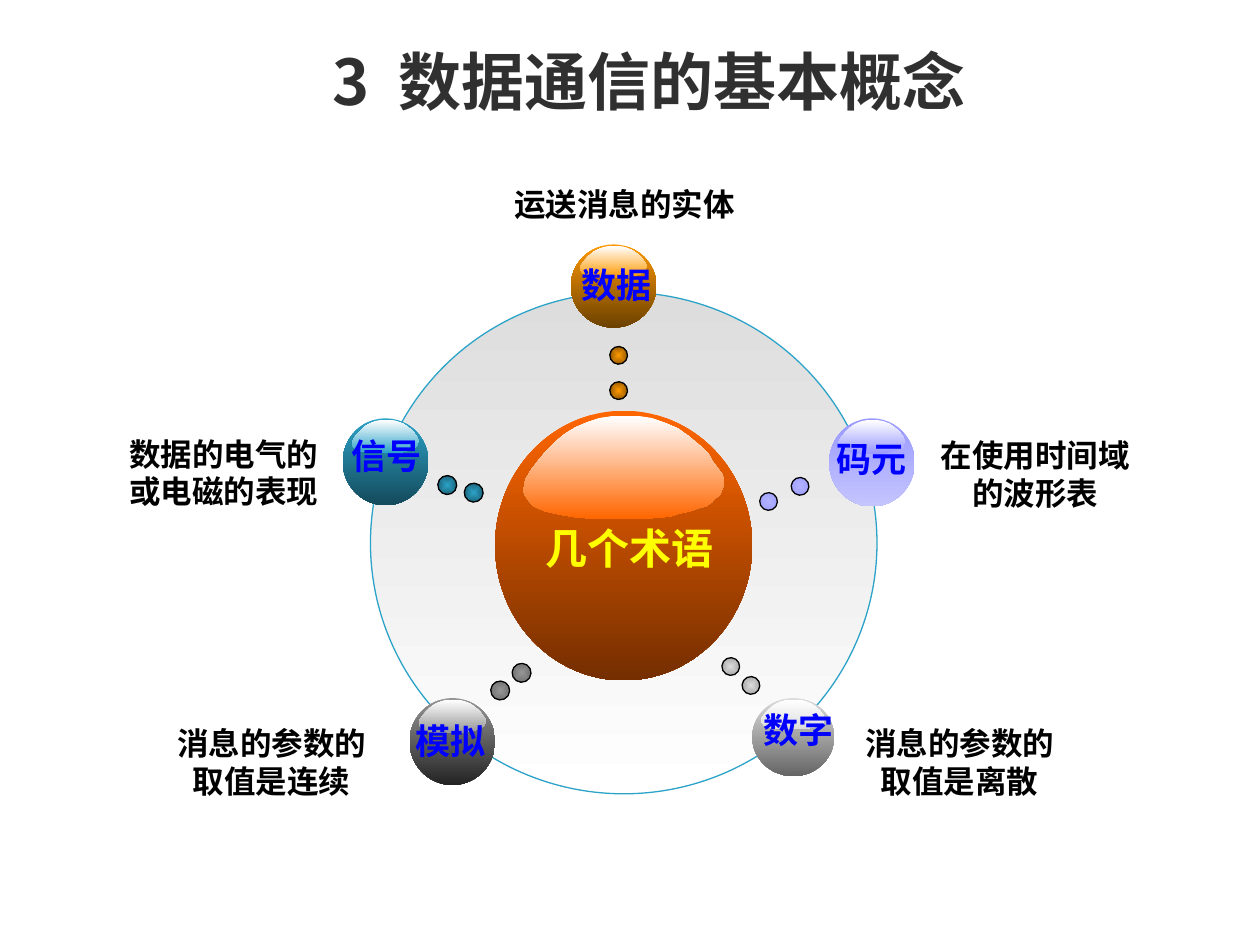
from lxml import etree
from pptx import Presentation
from pptx.dml.color import RGBColor
from pptx.enum import shapes, text
from pptx.oxml import ns
from pptx.util import Inches, Pt

WHITE = RGBColor(0xFF, 0xFF, 0xFF)
BLACK = RGBColor(0x00, 0x00, 0x00)
BLUE = RGBColor(0x00, 0x00, 0xFF)
YELLOW = RGBColor(0xFF, 0xFF, 0x00)
CHARCOAL = RGBColor(0x30, 0x30, 0x30)
ORANGE = RGBColor(0xFF, 0x66, 0x00)
RUST = RGBColor(0x74, 0x2E, 0x00)
AMBER = RGBColor(0xFF, 0x99, 0x00)
BROWN = RGBColor(0x6C, 0x41, 0x00)
TEAL = RGBColor(0x2C, 0xA3, 0xC8)
DEEP_TEAL = RGBColor(0x14, 0x4A, 0x5B)
VIOLET = RGBColor(0x99, 0x99, 0xFF)
PALE_VIOLET = RGBColor(0xC4, 0xC4, 0xFF)
MID_VIOLET = RGBColor(0xB2, 0xB2, 0xFF)
GREY = RGBColor(0x96, 0x96, 0x96)
DARK_GREY = RGBColor(0x24, 0x24, 0x24)
DIM_GREY = RGBColor(0x64, 0x64, 0x64)
SILVER = RGBColor(0xDD, 0xDD, 0xDD)
DIM_SILVER = RGBColor(0x93, 0x93, 0x93)
IRON = RGBColor(0x65, 0x65, 0x65)

# Content: lengths in inches
TITLE = "3  数据通信的基本概念"
CENTRE = "几个术语"
RING = (2.94, 2.32, 4.02, 3.98)
HUB = (3.93, 3.26, 2.04, 2.14)
LABEL_SIZE = (0.79, 0.44)  # holds two 20 pt characters on one line
CAPTION_SIZE = (1.89, 0.7)
TERMS = [
    dict(label="模拟", ball=(3.25, 5.54, 0.68, 0.69), label_at=(3.18, 5.66),
         colours=(GREY, DARK_GREY), dot_colours=(GREY, DIM_GREY),
         dots=[(3.97, 5.48), (4.14, 5.34)], dot_size=0.15,
         caption="消息的参数的取值是连续", caption_at=(1.21, 5.7)),
    dict(label="码元", ball=(6.58, 3.32, 0.68, 0.7), label_at=(6.52, 3.42),
         colours=(VIOLET, PALE_VIOLET), dot_colours=(MID_VIOLET, VIOLET),
         dots=[(6.35, 3.86), (6.1, 3.98)], dot_size=0.14,
         caption="在使用时间域的波形表", caption_at=(7.27, 3.41)),
    dict(label="数字", ball=(5.97, 5.54, 0.65, 0.62), label_at=(5.94, 5.57),
         colours=(SILVER, IRON), dot_colours=(SILVER, DIM_SILVER),
         dots=[(5.96, 5.44), (5.8, 5.29)], dot_size=0.14,
         caption="消息的参数的取值是离散", caption_at=(6.67, 5.7)),
    dict(label="数据", ball=(4.53, 1.94, 0.68, 0.66), label_at=(4.5, 2.04),
         colours=(AMBER, BROWN), dot_colours=(AMBER, BROWN),
         dots=[(4.91, 2.82), (4.91, 3.1)], dot_size=0.14,
         caption="运送消息的实体", caption_at=(2.83, 1.42), caption_size=(4.25, 0.4)),
    dict(label="信号", ball=(2.72, 3.32, 0.68, 0.69), label_at=(2.67, 3.4),
         colours=(TEAL, DEEP_TEAL), dot_colours=(TEAL, DEEP_TEAL),
         dots=[(3.55, 3.85), (3.76, 3.91)], dot_size=0.15,
         caption="数据的电气的或电磁的表现", caption_at=(0.83, 3.4)),
]

# Gloss: its box as shares of the ball, its outline as percentages of that box
GLOSS_BOX = (0.11, 0.02, 0.78, 0.38)
GLOSS_OUTLINE = [
    (99, 56), (100, 62), (100, 67), (99, 72), (98, 77), (96, 80), (94, 84), (91, 88),
    (87, 90), (83, 93), (78, 95), (73, 98), (68, 99), (60, 100), (36, 100), (27, 99),
    (18, 96), (11, 93), (5, 88), (2, 81), (1, 78), (0, 73), (1, 62), (4, 52),
    (8, 42), (11, 35), (16, 25), (21, 17), (26, 11), (32, 6), (38, 2), (44, 0),
    (58, 0), (64, 2), (71, 7), (77, 12), (82, 19), (87, 27), (92, 36), (95, 46),
]

deck = Presentation()
deck.slide_width, deck.slide_height = Inches(10), Inches(7.5)
page = deck.slides.add_slide(deck.slide_layouts[6])


def paint(shape, colours, line=None, radial=False):
    """Fill with a two-colour gradient, downwards or from the middle out."""
    shape.shadow.inherit = False
    shape.fill.gradient()
    shape.fill.gradient_angle = 270
    for stop, position, colour in zip(shape.fill.gradient_stops, (0, 1), colours):
        stop.position = position
        stop.color.rgb = colour
    if radial:
        linear = shape.element.spPr.find(ns.qn("a:gradFill")).find(ns.qn("a:lin"))
        radial_path = etree.Element(ns.qn("a:path"), {"path": "rect"})
        etree.SubElement(radial_path, ns.qn("a:fillToRect"),
                         {side: "50000" for side in "ltrb"})
        linear.getparent().replace(linear, radial_path)
    if line is None:
        shape.line.fill.background()
    else:
        shape.line.color.rgb = line
        shape.line.width = Pt(0.75)


def add_ellipse(frame, colours, **style):
    oval = page.shapes.add_shape(shapes.MSO_SHAPE.OVAL, *map(Inches, frame))
    paint(oval, colours, **style)
    return oval


def add_glossy_ball(frame, colours):
    add_ellipse(frame, colours)
    left, top, width, height = frame
    dx, dy, share_w, share_h = GLOSS_BOX
    points = [(Inches(left + width * (dx + share_w * x / 100)),
               Inches(top + height * (dy + share_h * y / 100)))
              for x, y in GLOSS_OUTLINE]
    builder = page.shapes.build_freeform(*points[0])
    builder.add_line_segments(points[1:], close=True)
    paint(builder.convert_to_shape(), (WHITE, colours[0]))


def add_text(words, frame, size, colour, font="Arial", wrap=True, spacing=None):
    box = page.shapes.add_textbox(*map(Inches, frame))
    box.text_frame.word_wrap = wrap
    box.text_frame.auto_size = text.MSO_AUTO_SIZE.SHAPE_TO_FIT_TEXT
    para = box.text_frame.paragraphs[0]
    para.alignment = text.PP_ALIGN.CENTER
    para.line_spacing = spacing
    span = para.add_run()
    span.text = words
    span.font.name, span.font.size, span.font.bold = font, Pt(size), True
    span.font.color.rgb = colour


# Ring behind everything
add_ellipse(RING, (SILVER, WHITE), line=TEAL)

# Term balls with labels, dots towards the hub, and captions
for term in TERMS:
    add_glossy_ball(term["ball"], term["colours"])
    add_text(term["label"], term["label_at"] + LABEL_SIZE, 20, BLUE,
             font="DejaVu Sans", wrap=False)
    size = term["dot_size"]
    for x, y in term["dots"]:
        dot = add_ellipse((x - size / 2, y - size / 2, size, size),
                          term["dot_colours"], line=BLACK, radial=True)
        dot.rotation = 303.8
    add_text(term["caption"], term["caption_at"] + term.get("caption_size", CAPTION_SIZE),
             18, BLACK)

# Hub and title
add_glossy_ball(HUB, (ORANGE, RUST))
add_text(CENTRE, (4.23, 4.1, 1.53, 0.5), 24, YELLOW, wrap=False)
add_text(TITLE, (2.4, 0.36, 5.5, 0.64), 36, CHARCOAL, font="Noto Sans CJK SC", spacing=0.9)

deck.save("out.pptx")
